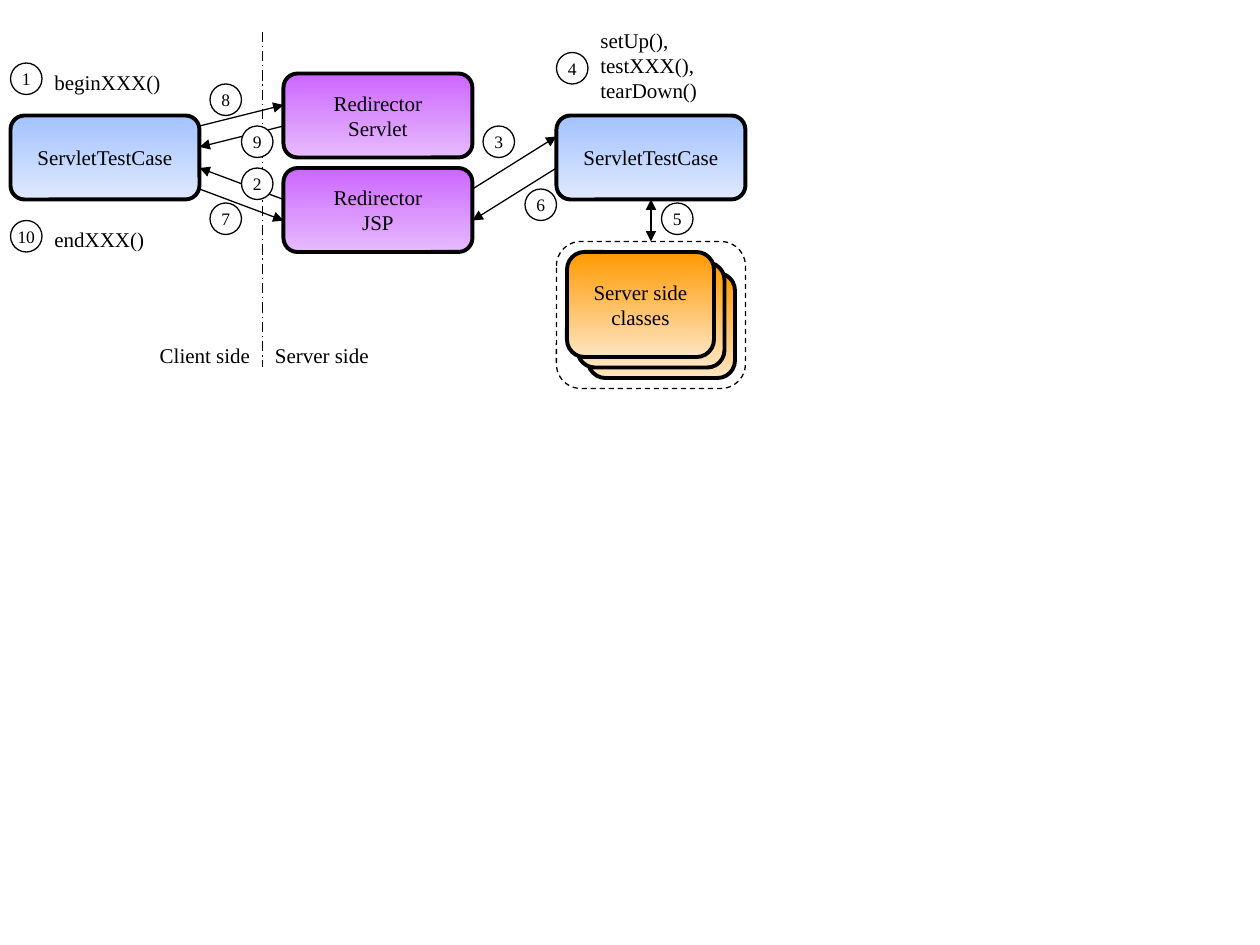
from lxml import etree
from pptx import Presentation
from pptx import util as u
from pptx.dml.color import RGBColor
from pptx.enum import dml, shapes, text
from pptx.oxml.ns import qn

BLUE = ("A3C2FF", "DFE9FE")
PURPLE = ("CC66FF", "E7BBFE")
ORANGE = ("FF9900", "FEE5C1")


def color(value):
    return RGBColor.from_string(value)


class Diagram:
    font = "Times New Roman"
    ink = "000000"
    cell = 1 / 12
    thin, thick = 0.75, 2.25
    label_size, number_size = 12, 10

    def __init__(self, slide):
        self.slide = slide

    def units(self, *cells):
        return [u.Inches(count * self.cell) for count in cells]

    def fill_text(self, frame, lines, size, align):
        frame.text = "\n".join(lines)
        for para in frame.paragraphs:
            para.alignment = align
            para.font.name = self.font
            para.font.size = u.Pt(size)
            para.font.color.rgb = color(self.ink)

    def outline(self, line, width, dash=None):
        line.color.rgb = color(self.ink)
        line.width = u.Pt(width)
        if dash:
            line.dash_style = dash

    def shape(self, kind, place, lines, size, width, dash=None):
        shape = self.slide.shapes.add_shape(kind, *self.units(*place))
        shape.shadow.inherit = False
        shape.fill.background()
        self.outline(shape.line, width, dash)
        if lines:
            frame = shape.text_frame
            frame.word_wrap = False
            frame.vertical_anchor = text.MSO_ANCHOR.MIDDLE
            self.fill_text(frame, lines, size, text.PP_ALIGN.CENTER)
        return shape

    def box(self, place, lines=(), blend=None, dash=None):
        width = self.thick if blend else self.thin
        box = self.shape(shapes.MSO_SHAPE.ROUNDED_RECTANGLE, place, lines,
                         self.label_size, width, dash)
        if blend:
            box.fill.gradient()
            box.fill.gradient_angle = 270
            for stop, value in zip(box.fill.gradient_stops, blend):
                stop.color.rgb = color(value)
        return box

    def step(self, number, left, top, fill=None):
        circle = self.shape(shapes.MSO_SHAPE.OVAL, (left, top, 3, 3),
                            [str(number)], self.number_size, self.thin)
        if fill:
            circle.fill.solid()
            circle.fill.fore_color.rgb = color(fill)

    def label(self, place, words, align=text.PP_ALIGN.LEFT):
        box = self.slide.shapes.add_textbox(*self.units(*place))
        frame = box.text_frame
        frame.word_wrap = True
        frame.auto_size = text.MSO_AUTO_SIZE.SHAPE_TO_FIT_TEXT
        self.fill_text(frame, [words], self.label_size, align)
        frame.paragraphs[0].space_before = u.Pt(7.5)

    def line(self, start, end, ends=("tailEnd",), dash=None):
        line = self.slide.shapes.add_connector(
            shapes.MSO_CONNECTOR.STRAIGHT, *self.units(*start, *end))
        self.outline(line.line, self.thin, dash)
        properties = line._element.spPr
        stroke = properties.find(qn("a:ln"))
        for name in ends:
            etree.SubElement(stroke, qn("a:" + name), type="triangle")
        etree.SubElement(properties, qn("a:effectLst"))
        return line


def main():
    deck = Presentation()
    deck.slide_width, deck.slide_height = u.Inches(10), u.Inches(7.5)
    diagram = Diagram(deck.slides.add_slide(deck.slide_layouts[6]))

    diagram.box((1, 11, 18, 8), ["ServletTestCase"], BLUE)
    diagram.box((27, 7, 18, 8), ["Redirector", "Servlet"], PURPLE)
    server_case = diagram.box((53, 11, 18, 8), ["ServletTestCase"], BLUE)

    diagram.line((19, 12), (27, 10))
    diagram.step(1, 1, 6)
    diagram.label((4, 6, 14, 3.6), "beginXXX()")
    diagram.step(10, 1, 21)
    diagram.label((4, 21, 15, 3.6), "endXXX()")
    diagram.step(8, 20, 8)
    diagram.line((45, 18), (53, 13))
    diagram.step(3, 46, 12)
    diagram.line((25, 3), (25, 35), (), dml.MSO_LINE.LONG_DASH_DOT)

    group = diagram.box((53, 23, 18, 14), dash=dml.MSO_LINE.DASH)
    calls = diagram.line((62, 19), (62, 23), ("headEnd", "tailEnd"))
    calls.begin_connect(server_case, 2)
    calls.end_connect(group, 0)
    diagram.step(5, 63, 19.33)
    diagram.line((53, 16), (45, 21))
    diagram.step(6, 50, 18)
    diagram.line((27, 12), (19, 14))
    diagram.step(9, 23, 12, "FFFFFF")

    for offset in (2, 1, 0):
        lines = [] if offset else ["Server side", "classes"]
        diagram.box((54 + offset, 24 + offset, 14, 10), lines, ORANGE)

    diagram.step(4, 53, 5)
    diagram.label((56, 2, 14, 8.4), "setUp(),\vtestXXX(),\vtearDown()")
    diagram.label((10, 32, 15, 3.6), "Client side", text.PP_ALIGN.RIGHT)
    diagram.label((25, 32, 15, 3.6), "Server side")

    diagram.step(7, 20, 19.33, "FFFFFF")
    diagram.box((27, 16, 18, 8), ["Redirector", "JSP"], PURPLE)
    diagram.line((19, 18), (27, 21))
    diagram.line((27, 19), (19, 16))
    diagram.step(2, 23, 16, "FFFFFF")

    deck.save("out.pptx")


if __name__ == "__main__":
    main()
